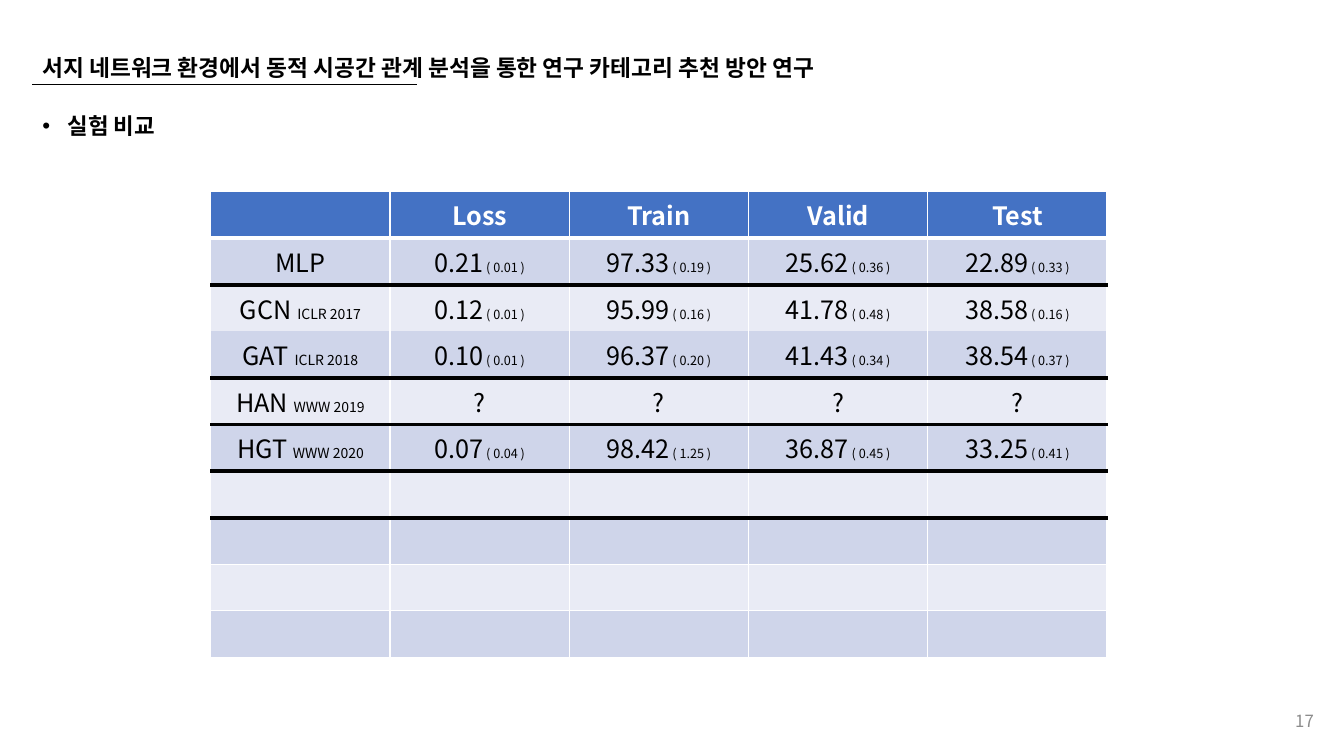
import lxml.etree
import pptx
import pptx.dml.color
import pptx.enum.shapes
import pptx.enum.text
import pptx.oxml
import pptx.oxml.ns
import pptx.util

Inches = pptx.util.Inches
Pt = pptx.util.Pt
Align = pptx.enum.text.PP_ALIGN
Anchor = pptx.enum.text.MSO_ANCHOR
qn = pptx.oxml.ns.qn

FONT = "Noto Sans CJK KR"
COLORS = {
    "black": "000000",
    "white": "FFFFFF",
    "gray": "8C8C8C",
    "head": "4472C4",
    "dark": "CFD5EA",
    "light": "E9EBF5",
}
HEADS = ["", "Loss", "Train", "Valid", "Test"]
MODELS = [
    ("MLP", "", "0.21 0.01", "97.33 0.19", "25.62 0.36", "22.89 0.33"),
    ("GCN", "ICLR 2017", "0.12 0.01", "95.99 0.16", "41.78 0.48", "38.58 0.16"),
    ("GAT", "ICLR 2018", "0.10 0.01", "96.37 0.20", "41.43 0.34", "38.54 0.37"),
    ("HAN", "WWW 2019", "?", "?", "?", "?"),
    ("HGT", "WWW 2020", "0.07 0.04", "98.42 1.25", "36.87 0.45", "33.25 0.41"),
]
ROWS = 10
RULES = {1, 3, 4, 5, 6}
OPEN = 2


def paint(color):
    return pptx.dml.color.RGBColor.from_string(COLORS[color])


def sub(node, tag, **attrs):
    return lxml.etree.SubElement(node, qn(tag), **attrs)


def write(para, text, size=18, color="black", bold=False, align=Align.LEFT):
    para.alignment = align
    if text:
        run = para.add_run()
        run.text = text
        run.font.size = Pt(size)
        run.font.bold = bold
        run.font.name = FONT
        run.font.color.rgb = paint(color)
        props = run.font._element
    else:
        props = sub(para._p, "a:endParaRPr", sz=str(size * 100))
        sub(props, "a:latin", typeface=FONT)
    sub(props, "a:ea", typeface=FONT)


def place(shape, left, top, width, height, anchor):
    shape.left, shape.top = Inches(left), Inches(top)
    shape.width, shape.height = Inches(width), Inches(height)
    frame = shape.text_frame
    frame.word_wrap = True
    frame.auto_size = pptx.enum.text.MSO_AUTO_SIZE.NONE
    frame.vertical_anchor = anchor
    return frame.paragraphs[0]


def rule(slide, left, right, top):
    line = slide.shapes.add_connector(
        pptx.enum.shapes.MSO_CONNECTOR.STRAIGHT,
        Inches(left), Inches(top), Inches(right), Inches(top))
    line.line.color.rgb = paint("black")
    line.line.width = Pt(0.5)
    sub(line._element.spPr, "a:effectLst")


def bullet(para):
    props = para._p.get_or_add_pPr()
    props.set("marL", str(Inches(0.25)))
    props.set("indent", str(Inches(-0.25)))
    para.line_spacing = 0.9
    para.space_before = Pt(10)
    sub(props, "a:buFont", typeface="Arial")
    sub(props, "a:buChar", char="•")


def edge(cell, side, color, width):
    line = sub(cell._tc.get_or_add_tcPr(), "a:ln" + side, w=str(Pt(width)))
    if color:
        sub(sub(line, "a:solidFill"), "a:srgbClr", val=COLORS[color])
    else:
        sub(line, "a:noFill")


def below(row):
    if row in RULES:
        return "black", 3
    if row == OPEN:
        return None, 1
    return "white", 3 if row == 0 else 1


def style(cell, row):
    edge(cell, "L", "white", 1)
    edge(cell, "R", "white", 1)
    edge(cell, "T", *below(row - 1))
    edge(cell, "B", *below(row))
    cell.fill.solid()
    band = "dark" if row % 2 else "light"
    cell.fill.fore_color.rgb = paint(band if row else "head")
    cell.vertical_anchor = Anchor.MIDDLE


def parts(row, col):
    if row == 0:
        return [(HEADS[col], 18)]
    if row > len(MODELS):
        return [("", 18)]
    name, venue, *scores = MODELS[row - 1]
    if col == 0:
        return [(name + " ", 18), (venue, 10)] if venue else [(name, 18)]
    mean, _, dev = scores[col - 1].partition(" ")
    return [(mean, 18), (f" ( {dev} )", 9)] if dev else [(mean, 18)]


def grid(slide):
    table = slide.shapes.add_table(
        ROWS, len(HEADS), Inches(2.09), Inches(1.9),
        Inches(8.89), Inches(4.06)).table
    for row in range(ROWS):
        for col in range(len(HEADS)):
            cell = table.cell(row, col)
            style(cell, row)
            for text, size in parts(row, col):
                write(cell.text_frame.paragraphs[0], text, size=size,
                      color="black" if row else "white", bold=row == 0,
                      align=Align.CENTER)


def main():
    deck = pptx.Presentation()
    deck.slide_width, deck.slide_height = Inches(13.33), Inches(7.5)
    slide = deck.slides.add_slide(deck.slide_layouts[1])
    title, body = slide.placeholders

    rule(slide, 0.32, 4.14, 0.84)
    write(place(title, 0.32, 0.49, 9.71, 0.36, Anchor.MIDDLE),
          "서지 네트워크 환경에서 동적 시공간 관계 분석을 통한 연구 카테고리 추천 방안 연구",
          size=16.2, bold=True)
    item = place(body, 0.32, 1.09, 12.81, 5.86, Anchor.TOP)
    bullet(item)
    write(item, "실험 비교", size=16, bold=True)
    page = slide.shapes.add_textbox(0, 0, 0, 0)
    write(place(page, 10.13, 6.95, 3, 0.4, Anchor.MIDDLE), "17",
          size=12, color="gray", align=Align.RIGHT)
    grid(slide)
    deck.save("out.pptx")


main()
